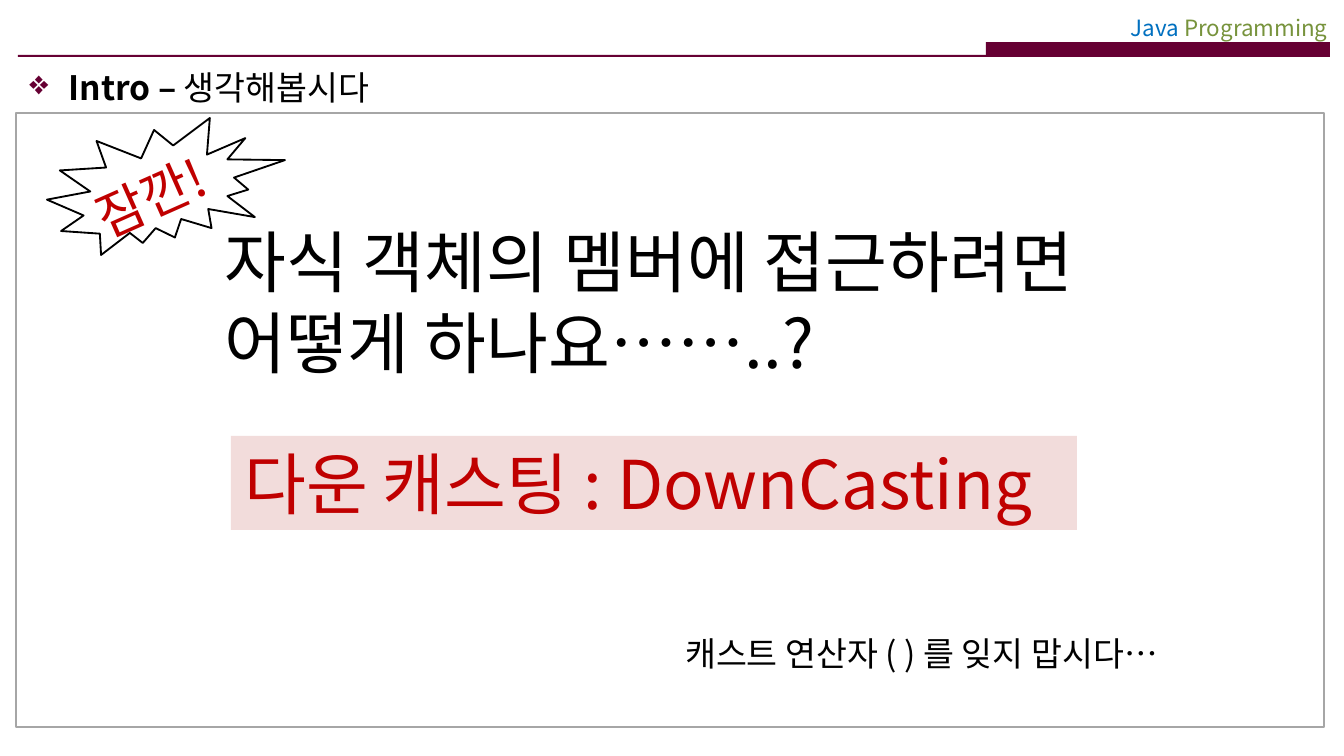
from dataclasses import dataclass

from lxml.etree import SubElement
from pptx import Presentation
from pptx.dml.color import RGBColor
from pptx.enum.shapes import MSO_SHAPE as Kind
from pptx.enum.text import MSO_ANCHOR as Anchor, MSO_AUTO_SIZE as Fit, PP_ALIGN as Align
from pptx.oxml.ns import qn
from pptx.util import Emu, Pt

FONT = "Noto Sans CJK KR"
HUES = {
    "wine": "660033", "blue": "0070C0", "green": "77933C", "gray": "A6A6A6",
    "black": "000000", "red": "C00000", "pink": "F2DCDB",
}


@dataclass
class Area:
    x: int
    y: int
    w: int
    h: int


@dataclass
class Form:
    kind: Kind
    area: Area
    fill: str = ""
    line: str = ""
    width: float = 1


@dataclass
class Note:
    area: Area
    lines: list[str]
    size: int
    hue: str
    turn: int = 0


def px(n: int) -> Emu:
    return Emu(round(n * 914400 / 134.4))


def rgb(hue: str) -> RGBColor:
    return RGBColor.from_string(HUES[hue])


def place(shape, area: Area) -> None:
    shape.left, shape.top = px(area.x), px(area.y)
    shape.width, shape.height = px(area.w), px(area.h)


def style(para, size: int, hue: str) -> None:
    para.font.size = Pt(size)
    para.font.name = FONT
    para.font.color.rgb = rgb(hue)
    # Hangul takes the East Asian typeface of each run
    for run in para.runs:
        SubElement(run.font._element, qn("a:ea"), typeface=FONT)


def setup(frame) -> None:
    frame.word_wrap = True
    frame.auto_size = Fit.NONE
    frame.vertical_anchor = Anchor.TOP


def draw(slide, form: Form) -> None:
    a = form.area
    shape = slide.shapes.add_shape(form.kind, px(a.x), px(a.y), px(a.w), px(a.h))
    shape.shadow.inherit = False
    if form.kind == Kind.ROUNDED_RECTANGLE:
        shape.adjustments[0] = 0
    if form.fill:
        shape.fill.solid()
        shape.fill.fore_color.rgb = rgb(form.fill)
    else:
        shape.fill.background()
    if form.line:
        shape.line.color.rgb = rgb(form.line)
        shape.line.width = Pt(form.width)
    else:
        shape.line.fill.background()


def write(slide, note: Note):
    a = note.area
    box = slide.shapes.add_textbox(px(a.x), px(a.y), px(a.w), px(a.h))
    box.rotation = note.turn
    frame = box.text_frame
    setup(frame)
    for i, line in enumerate(note.lines):
        para = frame.add_paragraph() if i else frame.paragraphs[0]
        para.add_run().text = line
        style(para, note.size, note.hue)
    return box


def head(slide) -> None:
    title = slide.shapes.title
    place(title, Area(16, 60, 1310, 52))
    setup(title.text_frame)
    para = title.text_frame.paragraphs[0]
    para.alignment = Align.LEFT
    for text, bold in (("Intro – ", True), ("생각해봅시다", False)):
        run = para.add_run()
        run.text, run.font.bold = text, bold
    # Diamond bullet with a hanging indent
    props = para._p.get_or_add_pPr()
    props.set("marL", str(px(39)))
    props.set("indent", str(-px(39)))
    SubElement(SubElement(props, qn("a:buClr")), qn("a:srgbClr"), val=HUES["wine"])
    SubElement(props, qn("a:buChar"), char="❖")
    style(para, 18, "black")


def brand(slide) -> None:
    box = write(slide, Note(Area(1066, 8, 275, 40), ["Java "], 12, "blue"))
    para = box.text_frame.paragraphs[0]
    para.alignment = Align.RIGHT
    run = para.add_run()
    run.text = "Programming"
    run.font.color.rgb = rgb("green")


FORMS = [
    Form(Kind.RECTANGLE, Area(986, 42, 344, 15), fill="wine"),
    Form(Kind.RECTANGLE, Area(18, 55, 1312, 2), fill="wine"),
    Form(Kind.ROUNDED_RECTANGLE, Area(16, 113, 1308, 614), line="gray", width=1.5),
    Form(Kind.EXPLOSION2, Area(47, 118, 238, 137), line="black"),
    Form(Kind.RECTANGLE, Area(231, 436, 846, 94), fill="pink"),
]
NOTES = [
    Note(Area(211, 214, 887, 175),
         ["자식 객체의 멤버에 접근하려면", "어떻게 하나요……..?"], 36, "black"),
    Note(Area(81, 156, 149, 77), ["잠깐!"], 28, "red", turn=336),
    Note(Area(231, 436, 846, 94), ["다운 캐스팅 : DownCasting"], 36, "red"),
    Note(Area(672, 626, 516, 54), ["캐스트 연산자 ( ) 를 잊지 맙시다…"], 18, "black"),
]


def main() -> None:
    deck = Presentation()
    deck.slide_width, deck.slide_height = px(1344), px(756)
    slide = deck.slides.add_slide(deck.slide_layouts[5])
    # Heading and course name
    head(slide)
    brand(slide)
    # Bars, frame, burst and answer band
    for form in FORMS:
        draw(slide, form)
    # Question, call-out, answer and reminder
    for note in NOTES:
        write(slide, note)
    deck.save("out.pptx")


if __name__ == "__main__":
    main()
